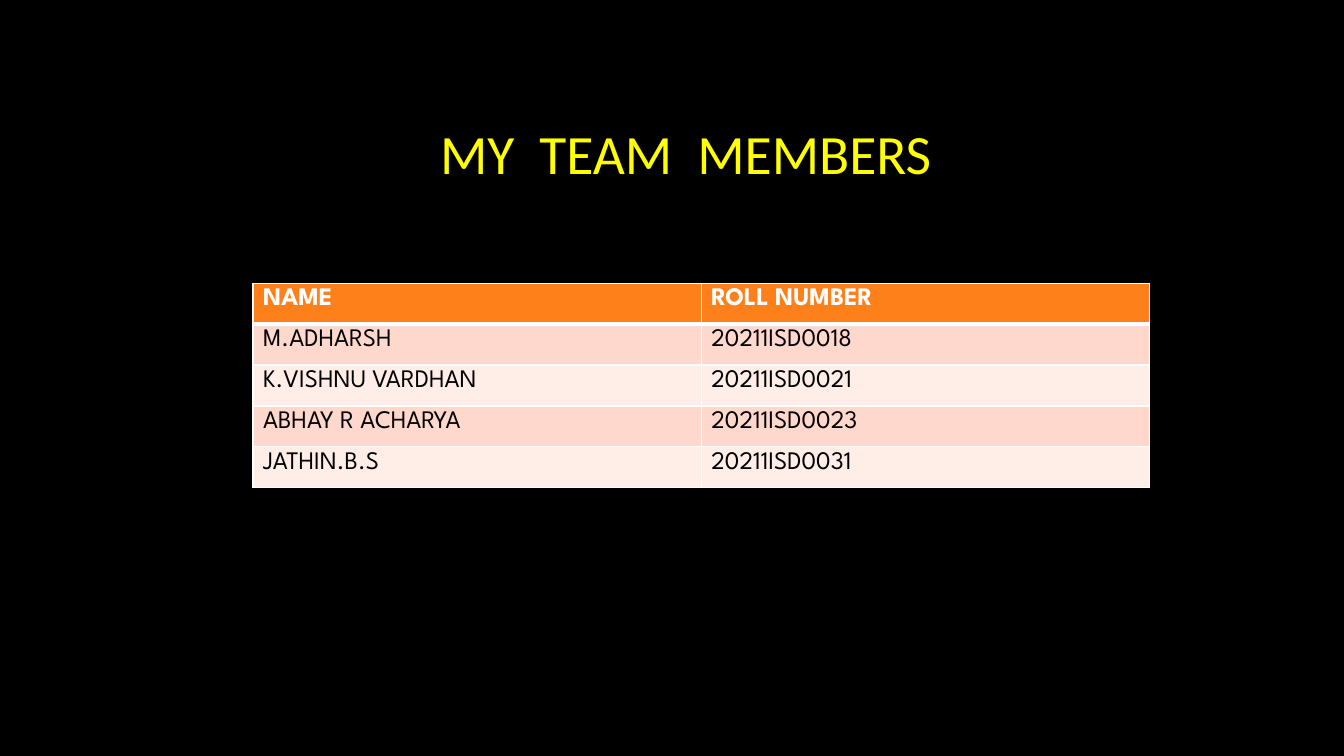
import pptx
import pptx.dml.color
import pptx.enum.text
import pptx.oxml
import pptx.oxml.ns
import pptx.util
from pptx.util import Inches

RGBColor = pptx.dml.color.RGBColor
BLACK = RGBColor(0x00, 0x00, 0x00)
WHITE = RGBColor(0xFF, 0xFF, 0xFF)
YELLOW = RGBColor(0xFF, 0xFF, 0x00)
ORANGE = RGBColor(0xFE, 0x80, 0x1A)
PINK = RGBColor(0xFF, 0xD8, 0xCD)
PALE_PINK = RGBColor(0xFF, 0xED, 0xE8)

MEMBERS = [
    ("NAME", "ROLL NUMBER"),
    ("M.ADHARSH", "20211ISD0018"),
    ("K.VISHNU VARDHAN", "20211ISD0021"),
    ("ABHAY R ACHARYA", "20211ISD0023"),
    ("JATHIN.B.S", "20211ISD0031"),
]


class TeamPage:
    """Holds the style and the current slide, and adds its elements."""

    title_font = "Calibri"
    table_font = "League Spartan"

    def __init__(self, deck):
        self.page = deck.slides.add_slide(deck.slide_layouts[5])
        background = self.page.background.fill
        background.solid()
        background.fore_color.rgb = BLACK

    def style(self, paragraph, name, size, color, bold=False):
        font = paragraph.font
        font.name = name
        font.size = pptx.util.Pt(size)
        font.bold = bold
        font.color.rgb = color

    def title(self, text, left, top, width, height):
        box = self.page.shapes.title
        box.left, box.top = Inches(left), Inches(top)
        box.width, box.height = Inches(width), Inches(height)
        frame = box.text_frame
        frame.text = text
        frame.word_wrap = True
        frame.auto_size = pptx.enum.text.MSO_AUTO_SIZE.NONE
        frame.vertical_anchor = pptx.enum.text.MSO_ANCHOR.MIDDLE
        frame.margin_right = Inches(0.46)
        paragraph = frame.paragraphs[0]
        paragraph.alignment = pptx.enum.text.PP_ALIGN.RIGHT
        paragraph.line_spacing = 0.9
        self.style(paragraph, self.title_font, 39.6, YELLOW)

    def borders(self, cell, widths):
        properties = cell._tc.get_or_add_tcPr()
        for position, (side, points) in enumerate(widths.items()):
            line = pptx.oxml.parse_xml(
                f'<a:ln{side} {pptx.oxml.ns.nsdecls("a")} w="{pptx.util.Pt(points)}">'
                f'<a:solidFill><a:srgbClr val="{WHITE}"/></a:solidFill></a:ln{side}>'
            )
            properties.insert(position, line)

    def table(self, rows, left, top, width, height):
        grid = self.page.shapes.add_table(
            len(rows), len(rows[0]),
            Inches(left), Inches(top), Inches(width), Inches(height),
        ).table
        for row, texts in enumerate(rows):
            header = row == 0
            fill = ORANGE if header else PINK if row % 2 else PALE_PINK
            widths = {"L": 1, "R": 1, "T": 3 if row == 1 else 1, "B": 3 if header else 1}
            for column, text in enumerate(texts):
                cell = grid.cell(row, column)
                cell.text = text
                cell.fill.solid()
                cell.fill.fore_color.rgb = fill
                color = WHITE if header else BLACK
                self.style(cell.text_frame.paragraphs[0], self.table_font, 18, color, header)
                self.borders(cell, widths)


def main():
    deck = pptx.Presentation()
    deck.slide_width, deck.slide_height = Inches(13.33), Inches(7.5)
    team = TeamPage(deck)
    team.title("MY  TEAM  MEMBERS", 3.99, 0.85, 5.71, 1.41)
    team.table(MEMBERS, 2.51, 2.81, 8.89, 2.03)
    deck.save("out.pptx")


if __name__ == "__main__":
    main()
